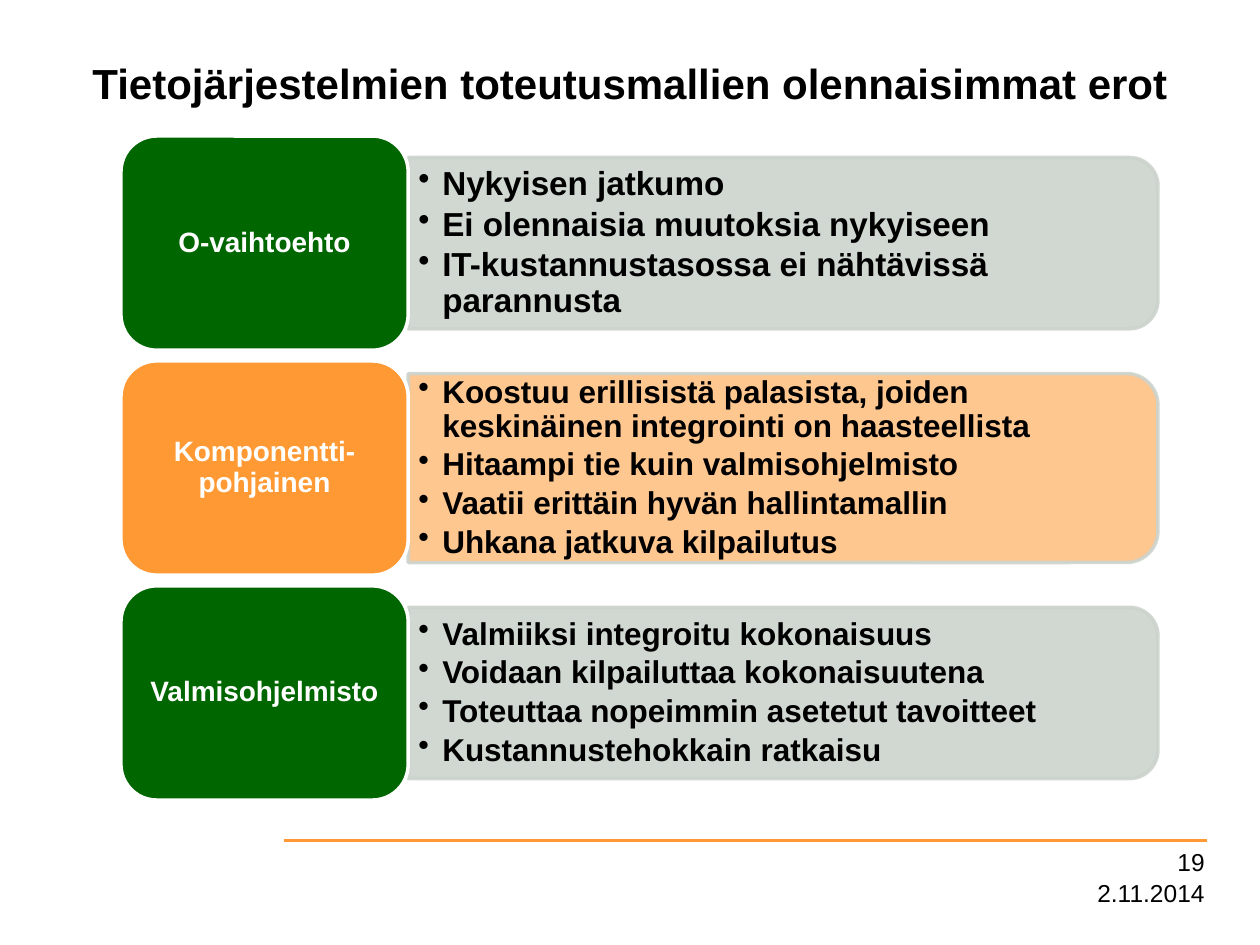
from lxml.etree import SubElement
from pptx import Presentation
from pptx.dml.color import RGBColor
from pptx.enum.shapes import MSO_CONNECTOR, MSO_SHAPE
from pptx.enum.text import MSO_ANCHOR, PP_ALIGN
from pptx.oxml.ns import qn
from pptx.util import Inches, Pt

BLACK = RGBColor(0x00, 0x00, 0x00)
WHITE = RGBColor(0xFF, 0xFF, 0xFF)
GREEN = RGBColor(0x00, 0x66, 0x00)
ORANGE = RGBColor(0xFF, 0x99, 0x33)
GREY = RGBColor(0xCC, 0xD3, 0xCC)
PEACH = RGBColor(0xFF, 0xC2, 0x85)

LEFT, TOP = 0.96, 1.08
LABEL_W, PANEL_W = 2.28, 5.95
ROW_H, PITCH = 1.7, 1.785

ROWS = [
    ("O-vaihtoehto", GREEN, GREY, 1.36, 19, [
        "Nykyisen jatkumo",
        "Ei olennaisia muutoksia nykyiseen",
        "IT-kustannustasossa ei nähtävissä parannusta"]),
    ("Komponentti-pohjainen", ORANGE, PEACH, 1.5, 18, [
        "Koostuu erillisistä palasista, joiden keskinäinen integrointi on haasteellista",
        "Hitaampi tie kuin valmisohjelmisto",
        "Vaatii erittäin hyvän hallintamallin",
        "Uhkana jatkuva kilpailutus"]),
    ("Valmisohjelmisto", GREEN, GREY, 1.36, 18, [
        "Valmiiksi integroitu kokonaisuus",
        "Voidaan kilpailuttaa kokonaisuutena",
        "Toteuttaa nopeimmin asetetut tavoitteet",
        "Kustannustehokkain ratkaisu"]),
]


def box(x, y, w, h):
    return [Inches(v) for v in (x, y, w, h)]


def style(p, size, color, bold=True, align=PP_ALIGN.LEFT):
    p.alignment = align
    for r in p.runs:
        r.font.name = "Arial"
        r.font.size = Pt(size)
        r.font.bold = bold
        r.font.color.rgb = color


def set_frame(tf, side, end):
    tf.word_wrap = True
    tf.vertical_anchor = MSO_ANCHOR.MIDDLE
    tf.margin_left = tf.margin_right = Inches(side)
    tf.margin_top = tf.margin_bottom = Inches(end)


def space_after(p, percent):
    p.line_spacing = 0.9
    after = SubElement(p._p.get_or_add_pPr(), qn("a:spcAft"))
    SubElement(after, qn("a:spcPct"), val=str(percent * 1000))


def add_bullet(p):
    pPr = p._p.get_or_add_pPr()
    pPr.set("marL", str(Inches(0.19)))
    pPr.set("indent", str(-Inches(0.19)))
    SubElement(pPr, qn("a:buChar"), char="•")


def add_block(s, kind, bounds, fill, line):
    sp = s.shapes.add_shape(kind, *bounds)
    sp.shadow.inherit = False
    sp.fill.solid()
    sp.fill.fore_color.rgb = fill
    sp.line.color.rgb = line
    sp.line.width = Pt(2)
    return sp


def add_panel(s, x, y, w, h, fill, size, items):
    turned = box(x + (w - h) / 2, y + (h - w) / 2, h, w)
    sp = add_block(s, MSO_SHAPE.ROUND_2_SAME_RECTANGLE, turned, fill, GREY)
    sp.rotation = 90
    for color in sp._element.spPr.iter(qn("a:srgbClr")):
        SubElement(color, qn("a:alpha"), val="90000")
    tf = s.shapes.add_textbox(*box(x, y + 0.07, w - 0.07, h - 0.14)).text_frame
    set_frame(tf, 0.08, 0.04)
    tf.text = "\n".join(items)
    for p in tf.paragraphs:
        style(p, size, BLACK)
        space_after(p, 15)
        add_bullet(p)


def add_label(s, x, y, w, h, fill, text):
    sp = add_block(s, MSO_SHAPE.ROUNDED_RECTANGLE, box(x, y, w, h), fill, WHITE)
    tf = sp.text_frame
    set_frame(tf, 0.07, 0.03)
    tf.text = text
    style(tf.paragraphs[0], 16, WHITE, align=PP_ALIGN.CENTER)
    space_after(tf.paragraphs[0], 35)


def add_row(s, x, y, label, fill, panel_fill, panel_h, size, items):
    add_panel(s, x + LABEL_W, y + (ROW_H - panel_h) / 2, PANEL_W, panel_h,
              panel_fill, size, items)
    add_label(s, x, y, LABEL_W, ROW_H, fill, label)


def add_title(s, bounds, text):
    title = s.shapes.title
    title.left, title.top, title.width, title.height = bounds
    tf = title.text_frame
    tf.text = text
    tf.vertical_anchor = MSO_ANCHOR.MIDDLE
    style(tf.paragraphs[0], 24, BLACK, align=PP_ALIGN.CENTER)


def add_footer(s, x, y, w, texts):
    line = s.shapes.add_connector(MSO_CONNECTOR.STRAIGHT, Inches(2.25), Inches(y),
                                  Inches(9.58), Inches(y))
    line.line.color.rgb = ORANGE
    line.line.width = Pt(1.5)
    SubElement(line._element.spPr, qn("a:effectLst"))
    for i, text in enumerate(texts):
        tf = s.shapes.add_textbox(*box(x, y + i * 0.25, w, 0.5)).text_frame
        tf.word_wrap = True
        tf.text = text
        style(tf.paragraphs[0], 14, BLACK, bold=False, align=PP_ALIGN.RIGHT)


def main():
    prs = Presentation()
    prs.slide_width, prs.slide_height = Inches(10), Inches(7.5)
    s = prs.slides.add_slide(prs.slide_layouts[5])
    add_title(s, box(0, 0.17, 10, 0.98),
              "Tietojärjestelmien toteutusmallien olennaisimmat erot")
    for i, row in enumerate(ROWS):
        add_row(s, LEFT, TOP + i * PITCH, *row)
    add_footer(s, 7.58, 6.67, 2.08, ["19", "2.11.2014"])
    prs.save("out.pptx")


if __name__ == "__main__":
    main()
